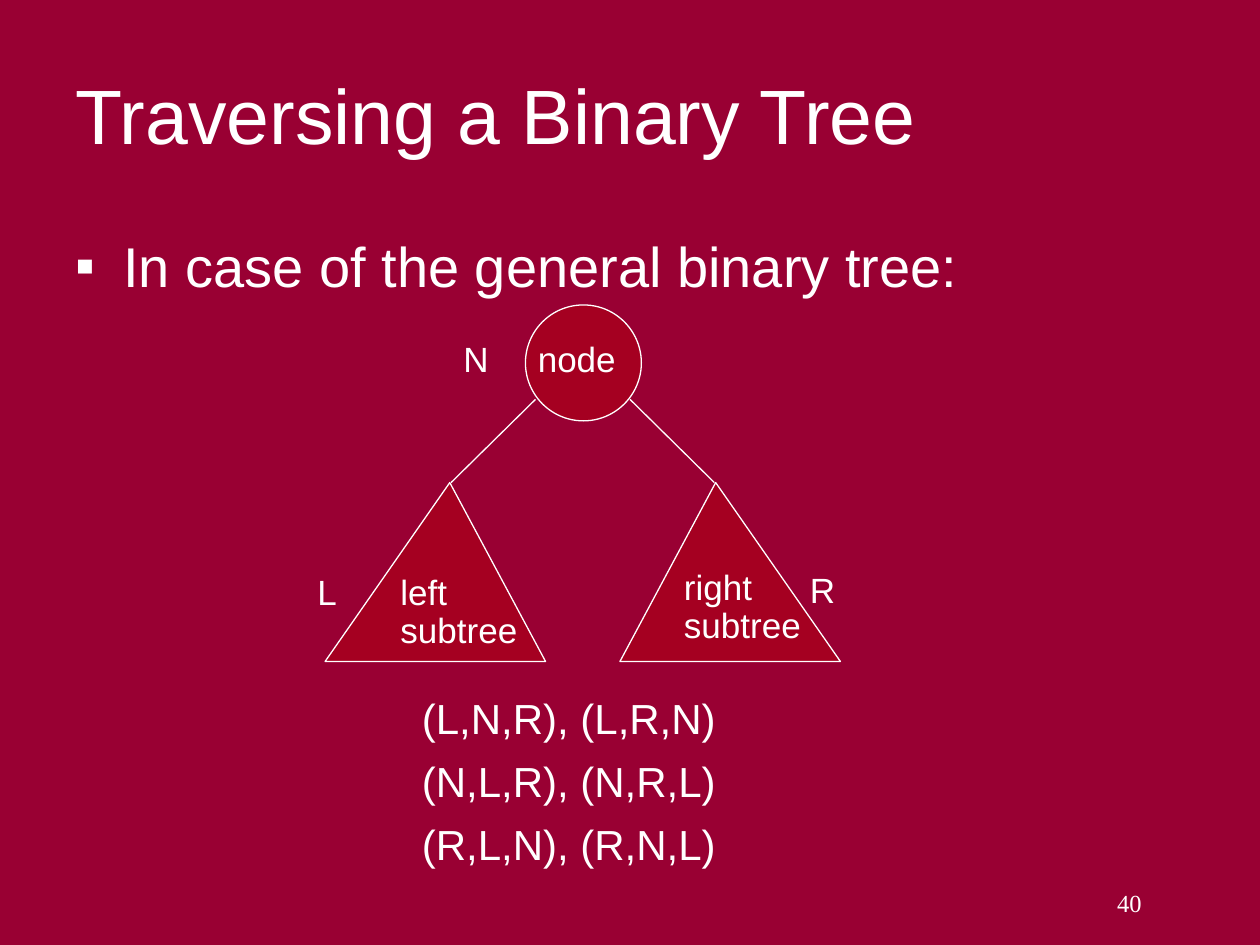
from pptx import Presentation
from pptx.dml.color import RGBColor
from pptx.enum.shapes import MSO_CONNECTOR as Link, MSO_SHAPE as Kind
from pptx.enum.text import MSO_ANCHOR as Anchor, MSO_AUTO_SIZE as Fit, PP_ALIGN as Align
from pptx.oxml.ns import qn
from pptx.util import Inches, Pt
from lxml.etree import SubElement

BACK, FILL, INK = "990033", "A50021", "FFFFFF"


def color(code):
    return RGBColor.from_string(code)


def paint(fill, code):
    fill.solid()
    fill.fore_color.rgb = color(code)


class Page:
    def __init__(self, deck):
        self.slide = deck.slides.add_slide(deck.slide_layouts[1])
        self.shapes = self.slide.shapes
        paint(self.slide.background.fill, BACK)

    def place(self, shape, box):
        for name, value in zip(("left", "top", "width", "height"), box):
            setattr(shape, name, Inches(value))

    def label(self, shape, lines, size, font="Arial", grow=False,
              anchor=Anchor.TOP, **form):
        """Fill a shape with paragraphs; form holds paragraph attributes."""
        frame = shape.text_frame
        frame.word_wrap = True
        frame.auto_size = Fit.SHAPE_TO_FIT_TEXT if grow else Fit.NONE
        frame.vertical_anchor = anchor
        frame.text = "\n".join(lines)
        gap = form.pop("gap", 0)
        form = {"alignment": Align.LEFT} | form
        for i, para in enumerate(frame.paragraphs):
            para.space_before = Pt(gap if i else 0)
            for name, value in form.items():
                setattr(para, name, value)
            look = {"size": Pt(size), "name": font}
            for name, value in look.items():
                setattr(para.runs[0].font, name, value)
            para.runs[0].font.color.rgb = color(INK)

    def title(self, text, box):
        self.place(self.shapes.title, box)
        self.label(self.shapes.title, [text], 44, anchor=Anchor.MIDDLE)

    def body(self, lines, box):
        holder = self.slide.placeholders[1]
        self.place(holder, box)
        self.label(holder, lines, 32)
        for para in holder.text_frame.paragraphs:
            props = para._p.get_or_add_pPr()
            props.set("marL", str(Inches(0.38)))
            props.set("indent", str(Inches(-0.38)))
            tint = SubElement(props, qn("a:buClr"))
            SubElement(tint, qn("a:srgbClr"), val=INK)
            SubElement(props, qn("a:buFont"), typeface="Arial")
            SubElement(props, qn("a:buChar"), char="▪")

    def text(self, lines, box, size=20, **form):
        shape = self.shapes.add_textbox(*map(Inches, box))
        self.label(shape, lines, size, **form)

    def finish(self, shape):
        shape.shadow.inherit = False
        paint(shape.fill, FILL)
        paint(shape.line.fill, INK)
        shape.line.width = Pt(0.75)

    def circle(self, box):
        self.finish(self.shapes.add_shape(Kind.OVAL, *map(Inches, box)))

    def outline(self, points):
        first, *rest = [(Inches(x), Inches(y)) for x, y in points]
        shell = self.shapes.build_freeform(*first)
        shell.add_line_segments(rest, close=True)
        self.finish(shell.convert_to_shape())

    def line(self, start, end):
        link = self.shapes.add_connector(Link.STRAIGHT, *map(Inches, start + end))
        paint(link.line.fill, INK)
        link.line.width = Pt(0.75)
        SubElement(link._element.spPr, qn("a:effectLst"))


def main():
    deck = Presentation()
    deck.slide_width, deck.slide_height = Inches(10), Inches(7.5)
    page = Page(deck)
    page.title("Traversing a Binary Tree", (0.5, 0.4, 9, 1))
    page.body(["In case of the general binary tree:"], (0.5, 1.79, 9, 1))

    page.circle((4.17, 2.42, 0.92, 0.92))
    page.text(["node"], (4.17, 2.63, 1, 0.44), grow=True)

    # The right half of the tree mirrors the left half about x = mid.
    mid = 9.25 / 2
    for flip in (1, -1):
        def at(x, y):
            return mid + flip * (x - mid), y

        page.line(at(4.25, 3.17), at(3.58, 3.83))
        page.outline([at(3.57, 3.83), at(2.58, 5.25), at(4.33, 5.25)])

    tags = [
        ("left subtree", 3.08, 4.52, 1.25, 0.7),
        ("right subtree", 5.33, 4.48, 1.25, 0.7),
        ("L", 2.42, 4.52, 0.5, 0.4),
        ("N", 3.58, 2.67, 0.5, 0.4),
        ("R", 6.33, 4.5, 0.5, 0.4),
    ]
    for word, *box in tags:
        page.text([word], box, grow=True, line_spacing=0.9)

    orders = ["(L,N,R), (L,R,N)", "(N,L,R), (N,R,L)", "(R,L,N), (R,N,L)"]
    page.text(orders, (3.25, 5.45, 3.33, 1.58), size=24, gap=7)
    page.text(["40"], (7.08, 7, 2.08, 0.5), size=14, font="Times New Roman",
              alignment=Align.RIGHT)
    deck.save("out.pptx")


if __name__ == "__main__":
    main()
